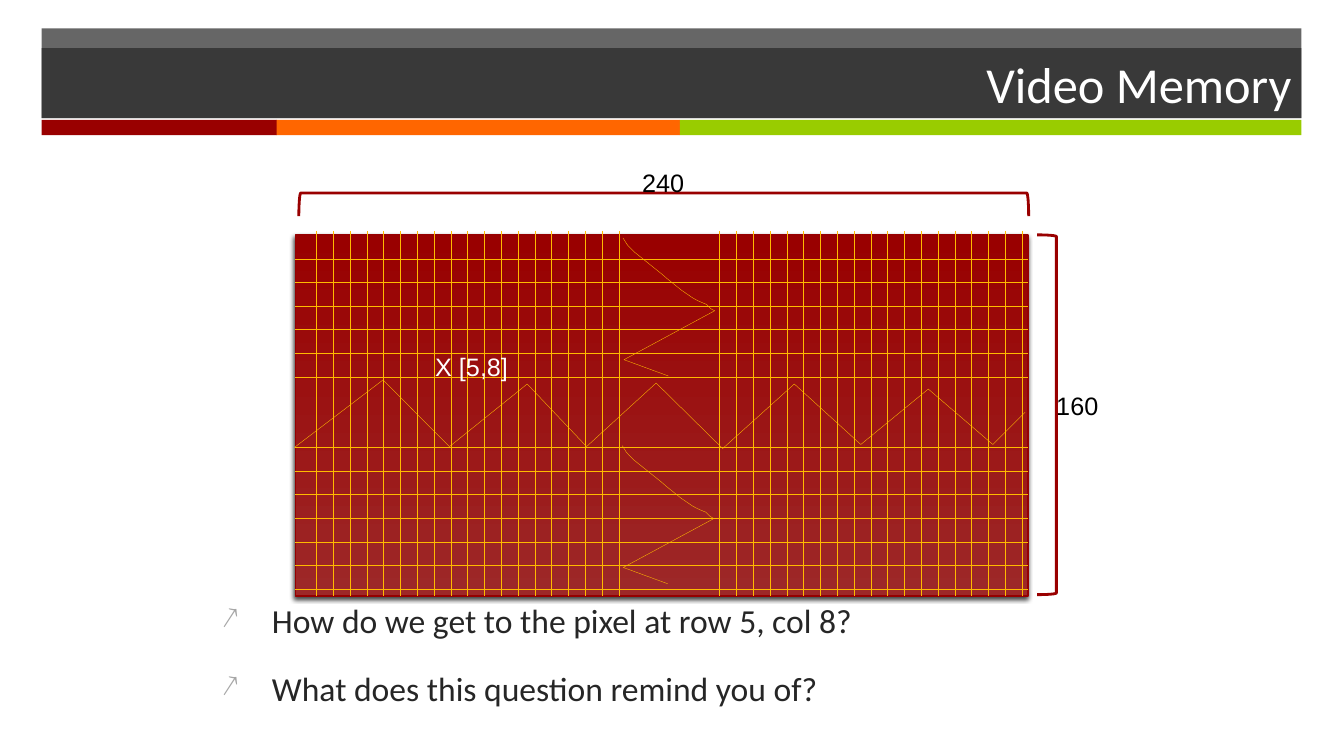
from lxml.etree import SubElement
from pptx import Presentation
from pptx.dml.color import RGBColor
from pptx.enum.shapes import MSO_CONNECTOR, MSO_SHAPE
from pptx.enum.text import MSO_ANCHOR, PP_ALIGN
from pptx.oxml.ns import qn
from pptx.util import Pt

TITLE = "Video Memory"
QUESTIONS = [
    "How do we get to the pixel at row 5, col 8?",
    "What does this question remind you of?",
]
# text, left, top, width, colour, alignment
LABELS = [
    ("240", 436.3, 115.9, 74.9, "000000", PP_ALIGN.CENTER),
    ("X [5,8]", 303.8, 247.7, 68.4, "FFFFFF", PP_ALIGN.LEFT),
    ("160", 747.4, 275, 74.9, "000000", PP_ALIGN.LEFT),
]
# left, width, colour
STRIPES = [(29.7, 168, "990000"), (197.7, 288, "FF6600"), (485.7, 444, "99CC00")]

SCREEN_LEFT, SCREEN_TOP, SCREEN_WIDTH, SCREEN_HEIGHT = 211, 167.8, 523.4, 257.8
SCREEN_RIGHT, SCREEN_BOTTOM = SCREEN_LEFT + SCREEN_WIDTH, SCREEN_TOP + SCREEN_HEIGHT
FIRST_ROW, ROW_STEP, ROWS = 185, 16.83, [*range(6), *range(8, 15)]
FIRST_COLUMN, COLUMN_STEP, COLUMNS = 226, 12, [*range(19), *range(24, 43)]
COLUMN_TOP = 165

ROW_BREAK = [
    (210.2, 319.7), (273.6, 271.4), (321.1, 319), (376.6, 274.3), (419, 319), (468.7, 273.6),
    (516.2, 320.4), (567.4, 274.3), (614.9, 317.5), (663.1, 277.9), (709.2, 317.5), (732.2, 294.5),
]
COLUMN_BREAK = [
    (445, 170), (448, 174.8), (453, 180), (462, 187.2), (473, 196), (477, 199.5), (487, 207.5),
    (495, 213), (498, 214.6), (501, 216), (504.7, 217.5), (507.6, 220.5), (510.5, 222),
    (445.7, 257), (477.4, 268.6),
]
BREAK_SHIFT = (-0.5, 148.4)


def colour(hex_text):
    return RGBColor.from_string(hex_text)


def set_line(shape, hex_text, width):
    shape.line.color.rgb = colour(hex_text)
    shape.line.width = Pt(width)


def add_box(kind, left, top, width, height, fill=None, opacity=None):
    shape = slide.shapes.add_shape(kind, Pt(left), Pt(top), Pt(width), Pt(height))
    shape.shadow.inherit = False
    shape.line.fill.background()
    if fill:
        shape.fill.solid()
        shape.fill.fore_color.rgb = colour(fill)
    else:
        shape.fill.background()
    if opacity:
        fill_colour = shape._element.spPr.find(qn("a:solidFill"))[0]
        SubElement(fill_colour, qn("a:alpha"), val=str(opacity * 1000))
    return shape


def style_text(paragraph, text, font_name, size, hex_text):
    paragraph.text = text
    paragraph.font.name = font_name
    paragraph.font.size = Pt(size)
    paragraph.font.color.rgb = colour(hex_text)


def add_grid_line(x1, y1, x2, y2):
    line = slide.shapes.add_connector(MSO_CONNECTOR.STRAIGHT, Pt(x1), Pt(y1), Pt(x2), Pt(y2))
    set_line(line, "FFBA00", 0.25)
    SubElement(line._element.spPr, qn("a:effectLst"))


def add_break(points):
    """Draw the zigzag that stands for left-out rows or columns."""
    corners = [(Pt(x), Pt(y)) for x, y in points]
    builder = slide.shapes.build_freeform(*corners[0])
    builder.add_line_segments(corners[1:], close=False)
    shape = builder.convert_to_shape()
    shape.shadow.inherit = False
    shape.fill.background()
    set_line(shape, "FFBA00", 0.25)


def add_bullet(paragraph):
    properties = paragraph._p.get_or_add_pPr()
    properties.set("marL", str(Pt(36)))
    properties.set("indent", str(-Pt(36)))
    bullet_colour = SubElement(properties, qn("a:buClr"))
    SubElement(bullet_colour, qn("a:srgbClr"), val="A6A6A6")
    SubElement(properties, qn("a:buSzPct"), val="90000")
    SubElement(properties, qn("a:buChar"), char="↗")


presentation = Presentation()
presentation.slide_width, presentation.slide_height = Pt(960), Pt(540)
slide = presentation.slides.add_slide(presentation.slide_layouts[6])

# Header
add_box(MSO_SHAPE.RECTANGLE, 29.7, 20.2, 900, 64.2, "262626", 70)
for left, width, fill in STRIPES:
    add_box(MSO_SHAPE.RECTANGLE, left, 85.7, width, 10.8, fill)
title = add_box(MSO_SHAPE.RECTANGLE, 29.7, 34.3, 900, 50.1, "262626", 70)
title.text_frame.vertical_anchor = MSO_ANCHOR.MIDDLE
title.text_frame.paragraphs[0].alignment = PP_ALIGN.RIGHT
style_text(title.text_frame.paragraphs[0], TITLE, "Calibri", 36, "FFFFFF")

# Questions
body = slide.shapes.add_textbox(Pt(151.2), Pt(424.8), Pt(648), Pt(112.3)).text_frame
body.word_wrap = True
for index, question in enumerate(QUESTIONS):
    paragraph = body.add_paragraph() if index else body.paragraphs[0]
    add_bullet(paragraph)
    if index:
        paragraph.space_before = Pt(20)
    style_text(paragraph, question, "Calibri", 24, "262626")

# Screen
screen = add_box(MSO_SHAPE.RECTANGLE, SCREEN_LEFT, SCREEN_TOP, SCREEN_WIDTH, SCREEN_HEIGHT)
screen.fill.gradient()
screen.fill.gradient_angle = 90
for stop, hex_text, position in zip(screen.fill.gradient_stops, ("9D2828", "990000"), (0, 1)):
    stop.color.rgb = colour(hex_text)
    stop.position = position
set_line(screen, "960000", 1)
effects = screen._element.spPr.find(qn("a:effectLst"))
shadow = SubElement(effects, qn("a:outerShdw"), blurRad=str(Pt(3)), dist=str(Pt(2)),
                    dir=str(110 * 60000), rotWithShape="0")
shadow_colour = SubElement(shadow, qn("a:srgbClr"), val="000000")
SubElement(shadow_colour, qn("a:alpha"), val="75000")

for row in ROWS:
    y = FIRST_ROW + row * ROW_STEP
    add_grid_line(SCREEN_LEFT, y, SCREEN_RIGHT, y)
for column in COLUMNS:
    x = FIRST_COLUMN + column * COLUMN_STEP
    add_grid_line(x, COLUMN_TOP, x, SCREEN_BOTTOM)

# Dimensions
height_bracket = add_box(MSO_SHAPE.LEFT_BRACKET, 740.9, 167.8, 13.7, 257)
height_bracket._element.spPr.xfrm.set("flipH", "1")
height_bracket._element.spPr.xfrm.set("flipV", "1")
width_bracket = add_box(MSO_SHAPE.LEFT_BRACKET, 465.8, -114.5, 16.6, 521.3)
width_bracket.rotation = 90
for bracket in (height_bracket, width_bracket):
    set_line(bracket, "990000", 2)

add_break(ROW_BREAK)
add_break(COLUMN_BREAK)
add_break([(x + BREAK_SHIFT[0], y + BREAK_SHIFT[1]) for x, y in COLUMN_BREAK])

for text, left, top, width, hex_text, alignment in LABELS:
    label = slide.shapes.add_textbox(Pt(left), Pt(top), Pt(width), Pt(29)).text_frame
    label.word_wrap = True
    label.paragraphs[0].alignment = alignment
    style_text(label.paragraphs[0], text, "Arial", 18, hex_text)

presentation.save("out.pptx")
